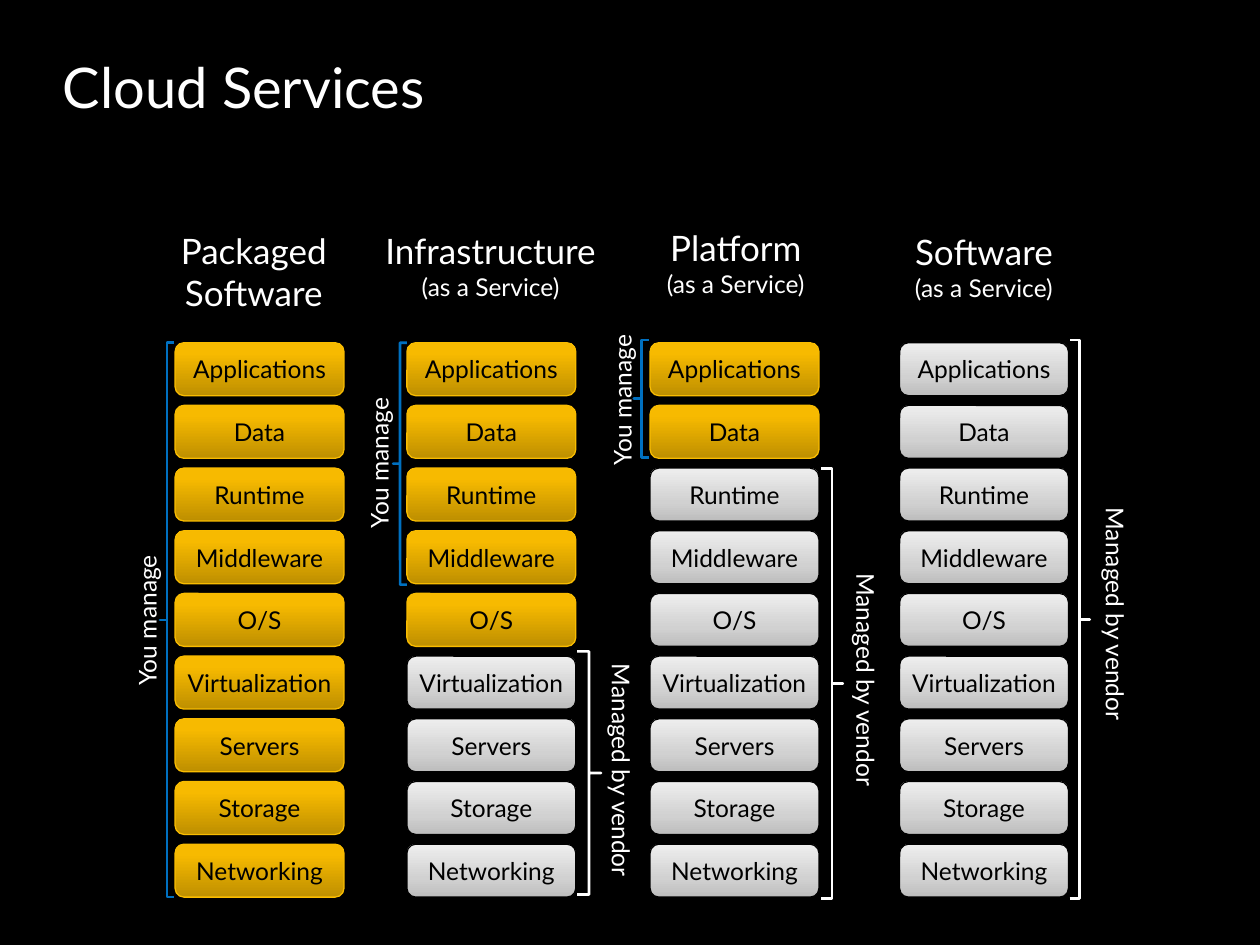
import pptx
import pptx.util
import pptx.dml.color
import pptx.enum.shapes
import pptx.enum.text
import pptx.oxml
import pptx.oxml.ns

Inches = pptx.util.Inches
RGBColor = pptx.dml.color.RGBColor
Shape = pptx.enum.shapes.MSO_SHAPE
Align = pptx.enum.text.PP_ALIGN
Anchor = pptx.enum.text.MSO_ANCHOR

BLACK = RGBColor(0x00, 0x00, 0x00)
WHITE = RGBColor(0xFF, 0xFF, 0xFF)
BLUE = RGBColor(0x00, 0x70, 0xC0)
GOLD = RGBColor(0xF9, 0xBC, 0x00)
GOLD_STOPS = [
    (0, RGBColor(0xBE, 0x8F, 0x00)),
    (80, RGBColor(0xF7, 0xBA, 0x00)),
    (100, RGBColor(0xF8, 0xBB, 0x00)),
]
GREY_STOPS = [
    (0, RGBColor(0xBD, 0xBD, 0xBD)),
    (35, RGBColor(0xD1, 0xD1, 0xD1)),
    (100, RGBColor(0xEE, 0xEE, 0xEE)),
]
FONT = "Lato"

LAYERS = ["Applications", "Data", "Runtime", "Middleware", "O/S",
          "Virtualization", "Servers", "Storage", "Networking"]
SERVICE = ("(as a Service)", 14)
COLUMNS = [
    {"heading": [("Packaged Software", 20)], "frame": (1.25, 1.7, 1.53), "inset": 0,
     "left": 1.39, "own_layers": 9,
     "you": {"brace": (1.27, 2.72, 0.11, 4.4), "label": (1, 4.37)}},
    {"heading": [("Infrastructure", 20), SERVICE], "frame": (2.83, 1.67, 2.13),
     "left": 3.23, "own_layers": 5,
     "you": {"brace": (3.12, 2.72, 0.11, 1.92), "label": (2.84, 3.12)},
     "vendor": {"brace": (4.58, 5.17, 0.19, 1.93), "label": (4.66, 5.17)}},
    {"heading": [("Platform", 20), SERVICE], "frame": (5.02, 1.67, 1.64),
     "left": 5.16, "own_layers": 2,
     "you": {"brace": (5.03, 2.7, 0.12, 0.93), "label": (4.77, 2.62)},
     "vendor": {"brace": (6.52, 3.72, 0.17, 3.41), "label": (6.6, 4.45)}},
    {"heading": [("Software", 20), SERVICE], "frame": (6.98, 1.7, 1.66),
     "left": 7.14, "own_layers": 0,
     "vendor": {"brace": (8.49, 2.7, 0.16, 4.43), "label": (8.58, 3.93)}},
]
MANAGERS = {
    "you": {"text": "You manage", "length": 1.17, "vert": "vert270",
            "color": BLUE, "flip": False},
    "vendor": {"text": "Managed by vendor", "length": 1.85, "vert": "eaVert",
               "color": WHITE, "flip": True},
}
HEADING_HEIGHT = 5.42
LAYER_WIDTH, LAYER_HEIGHT = 1.34, 0.42
FIRST_TOP, LAST_TOP = 2.72, 6.7
PITCH = (LAST_TOP - FIRST_TOP) / (len(LAYERS) - 1)


def write_text(box, lines, color=WHITE, align=Align.LEFT, anchor=Anchor.TOP,
               side=0.1, edge=0.05, wrap=True, vert=None):
    frame = box.text_frame
    frame.word_wrap = wrap
    frame.vertical_anchor = anchor
    frame.margin_left = frame.margin_right = Inches(side)
    frame.margin_top = frame.margin_bottom = Inches(edge)
    if vert:
        frame._txBody.bodyPr.set("vert", vert)
    for index, (text, size) in enumerate(lines):
        para = frame.add_paragraph() if index else frame.paragraphs[0]
        para.alignment = align
        span = para.add_run()
        span.text = text
        span.font.name = FONT
        span.font.size = pptx.util.Pt(size)
        span.font.color.rgb = color


def add_box(shapes, kind, left, top, width, height):
    box = shapes.add_shape(kind, Inches(left), Inches(top), Inches(width), Inches(height))
    box.shadow.inherit = False
    box.fill.background()
    box.line.fill.background()
    return box


def set_line(box, color, width):
    box.line.color.rgb = color
    box.line.width = pptx.util.Pt(width)


def set_gradient(box, stops):
    box.fill.gradient()
    marks = "".join(
        f'<a:gs pos="{place * 1000}"><a:srgbClr val="{color}"/></a:gs>' for place, color in stops)
    gradient = pptx.oxml.parse_xml(
        f'<a:gradFill {pptx.oxml.ns.nsdecls("a")} rotWithShape="1"><a:gsLst>{marks}</a:gsLst>'
        '<a:lin ang="16200000" scaled="0"/></a:gradFill>')
    old = box._element.spPr.find(pptx.oxml.ns.qn("a:gradFill"))
    old.getparent().replace(old, gradient)


def add_manager(shapes, manager, place):
    brace = add_box(shapes, Shape.LEFT_BRACE, *place["brace"])
    brace.adjustments[0] = 0
    brace.adjustments[1] = 0.5
    set_line(brace, manager["color"], 1.5)
    if manager["flip"]:
        brace._element.spPr.xfrm.set("flipH", "1")
    left, top = place["label"]
    label = shapes.add_textbox(Inches(left), Inches(top), Inches(0.44),
                               Inches(manager["length"]))
    write_text(label, [(manager["text"], 14)], wrap=False, vert=manager["vert"])


def add_column(page, column):
    shapes = page.shapes.add_group_shape().shapes
    heading = add_box(shapes, Shape.ROUNDED_RECTANGLE, *column["frame"], HEADING_HEIGHT)
    write_text(heading, column["heading"], align=Align.CENTER, side=column.get("inset", 0.1))
    for index, name in enumerate(LAYERS):
        own = index < column["own_layers"]
        layer = add_box(shapes, Shape.ROUNDED_RECTANGLE, column["left"],
                        FIRST_TOP + index * PITCH, LAYER_WIDTH, LAYER_HEIGHT)
        set_gradient(layer, GOLD_STOPS if own else GREY_STOPS)
        set_line(layer, GOLD if own else BLACK, 0.75)
        write_text(layer, [(name, 14)], color=BLACK, align=Align.CENTER,
                   anchor=Anchor.MIDDLE, side=0 if name == "Virtualization" else 0.1)
    for key, manager in MANAGERS.items():
        if key in column:
            add_manager(shapes, manager, column[key])


def main():
    deck = pptx.Presentation()
    deck.slide_width, deck.slide_height = Inches(10), Inches(7.5)
    page = deck.slides.add_slide(deck.slide_layouts[6])
    page.background.fill.solid()
    page.background.fill.fore_color.rgb = BLACK
    for column in COLUMNS:
        add_column(page, column)
    title = page.shapes.add_textbox(Inches(0.5), Inches(0.42), Inches(9), Inches(0.86))
    write_text(title, [("Cloud Services", 32)], side=0, edge=0)
    deck.save("out.pptx")


if __name__ == "__main__":
    main()
